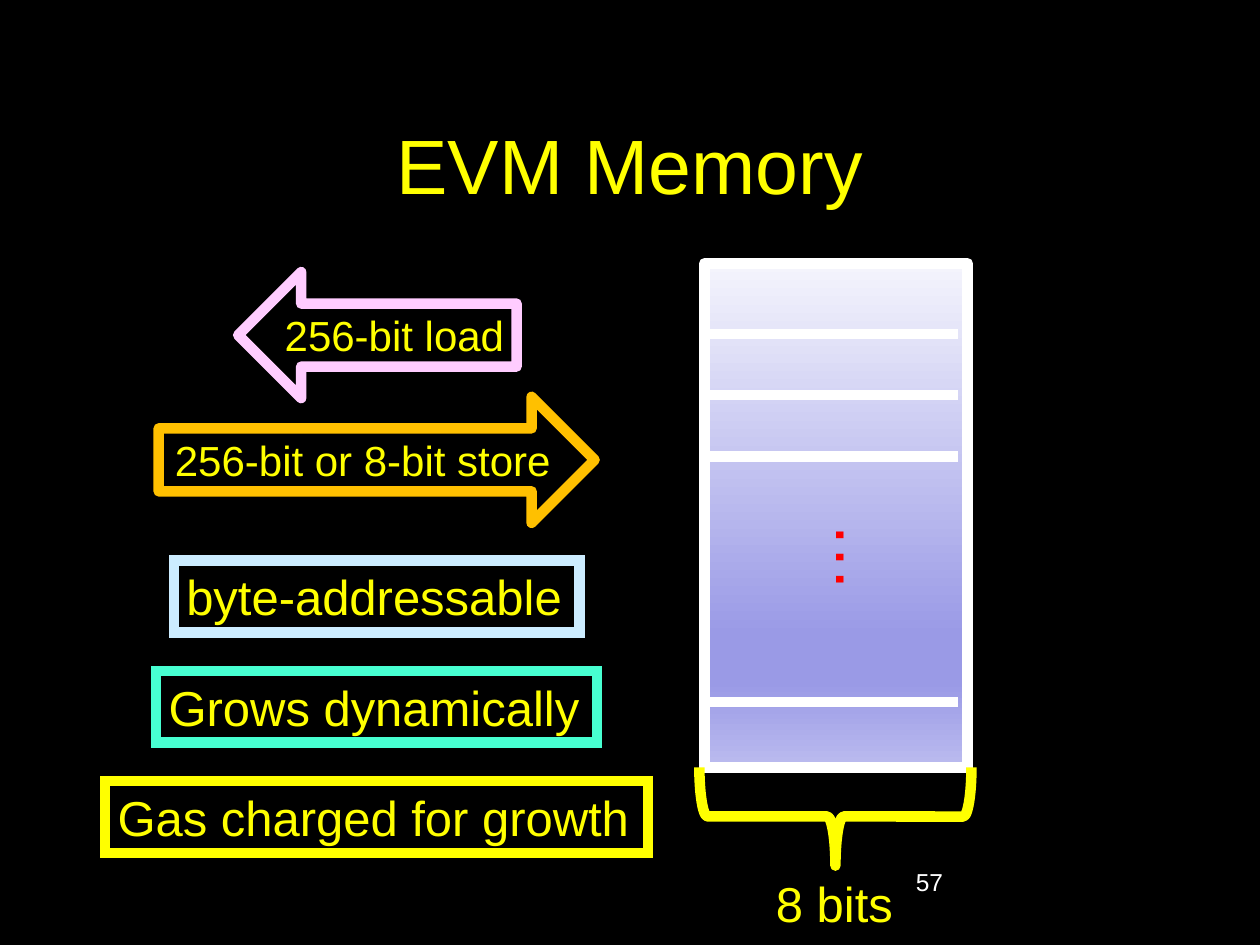
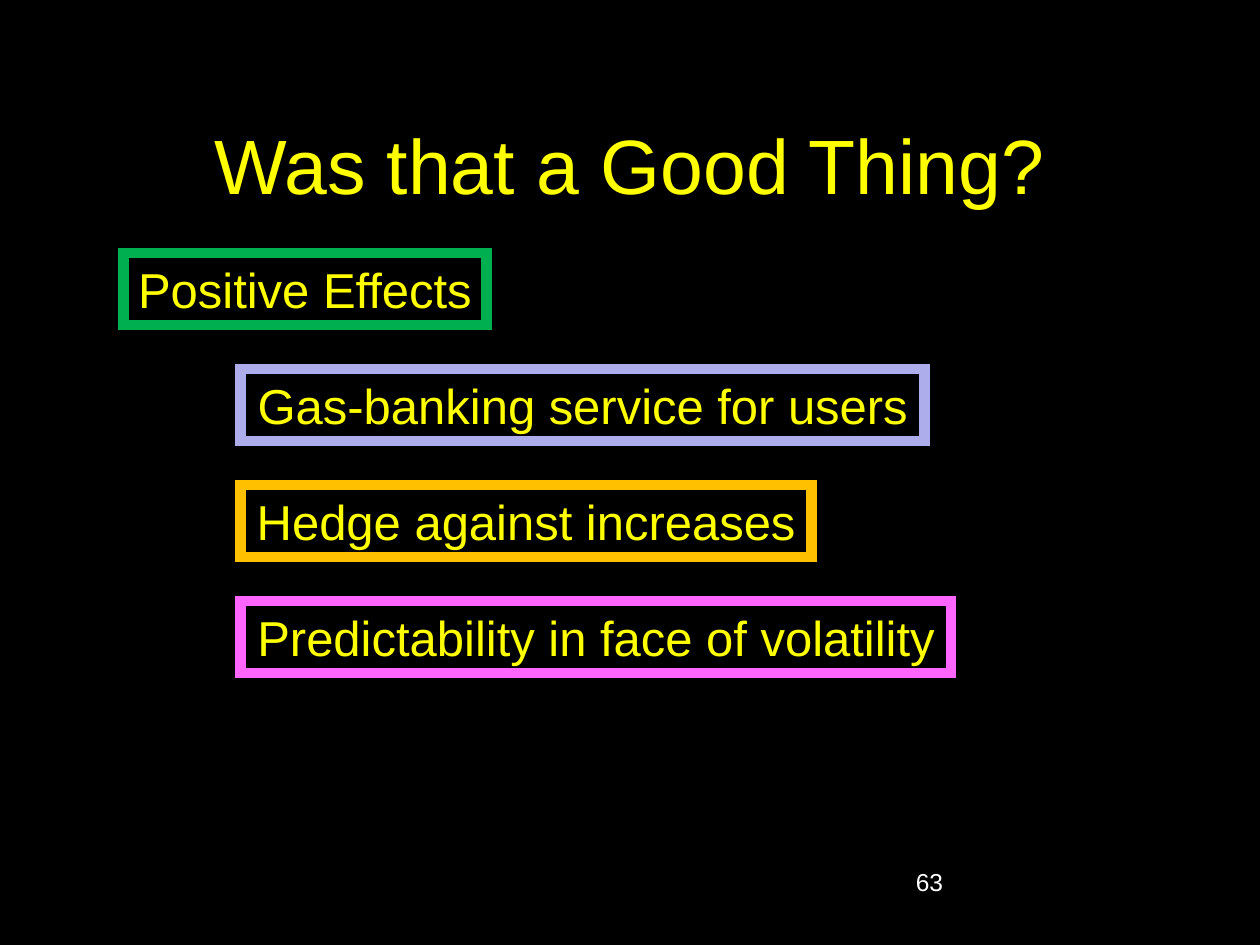
from lxml import etree
from pptx import Presentation
from pptx.dml.color import RGBColor
from pptx.enum.shapes import MSO_CONNECTOR as CONN, MSO_SHAPE as SHAPE
from pptx.enum.text import MSO_ANCHOR as ANCHOR, MSO_AUTO_SIZE as FIT, PP_ALIGN as ALIGN
from pptx.oxml.ns import qn
from pptx.util import Inches, Pt

BLACK, WHITE = RGBColor(0, 0, 0), RGBColor(255, 255, 255)
YELLOW, RED = RGBColor(255, 255, 0), RGBColor(255, 0, 0)
ORANGE, GREEN = RGBColor(0xFF, 0xC0, 0), RGBColor(0, 0xB0, 0x50)
PINK, MAGENTA = RGBColor(0xFF, 0xCC, 0xFF), RGBColor(0xFF, 0x66, 0xFF)
SKY, MINT = RGBColor(0xCC, 0xEC, 0xFF), RGBColor(0x47, 0xFF, 0xD1)
LAVENDER = RGBColor(0xAD, 0xAD, 0xEB)
MEMORY_STOPS = [(0, "F4F4FC"), (74, "9A9AE6"), (83, "9A9AE6"), (100, "BBBBEF")]

FONT = "Arial"
LINE_WIDTH = 6
BOX_HEIGHT = 0.57

MEMORY = dict(title="EVM Memory", page="57")
EFFECTS = dict(title="Was that a Good Thing?", page="63")

# text, line colour, shape, (left, top, width, height)
TRANSFERS = [
    ("256-bit load", PINK, SHAPE.LEFT_ARROW, (1.89, 2.16, 2.21, 1)),
    ("256-bit or 8-bit store", ORANGE, SHAPE.RIGHT_ARROW, (1.26, 3.15, 3.46, 1)),
]
# text, line colour, width
PROPERTIES = [
    ("byte-addressable", SKY, 3.22),
    ("Grows dynamically", MINT, 3.5),
    ("Gas charged for growth", YELLOW, 4.31),
]
# text, line colour, left, width
POSITIVES = [
    ("Positive Effects", GREEN, 0.98, 2.88),
    ("Gas-banking service for users", LAVENDER, 1.91, 4.53 + 0.99 - 0.09),
    ("Hedge against increases", ORANGE, 1.91, 4.53),
    ("Predictability in face of volatility", MAGENTA, 1.91, 5.64),
]
POSITIVES[1] = POSITIVES[1][:3] + (5.43,)

CELLS_LEFT, CELLS_TOP, CELLS_WIDTH, CELLS_HEIGHT = 5.59, 2.09, 2.09, 4
DIVIDER_TOP, DIVIDER_STEP, DIVIDER_RIGHT = 2.65, 0.487, 7.6
DIVIDER_ROWS = [0, 1, 2, 6]


def write(shape, text, size, color=YELLOW, align=ALIGN.LEFT,
          anchor=ANCHOR.TOP, wrap=False):
    tf = shape.text_frame
    frame = dict(word_wrap=wrap, vertical_anchor=anchor,
                 auto_size=FIT.NONE if wrap else FIT.SHAPE_TO_FIT_TEXT)
    for name, value in frame.items():
        setattr(tf, name, value)
    p = tf.paragraphs[0]
    p.alignment = align
    r = p.add_run()
    r.text = text
    for name, value in dict(name=FONT, size=Pt(size)).items():
        setattr(r.font, name, value)
    r.font.color.rgb = color


def add_text(s, at, text, size, **style):
    tb = s.shapes.add_textbox(*map(Inches, at))
    write(tb, text, size, **style)
    return tb


def add_outline(s, kind, at, color, fill=None):
    sp = s.shapes.add_shape(kind, *map(Inches, at))
    sp.shadow.inherit = False
    if fill is None:
        sp.fill.background()
    else:
        sp.fill.solid()
        sp.fill.fore_color.rgb = fill
    sp.line.color.rgb = color
    sp.line.width = Pt(LINE_WIDTH)
    return sp


def add_label_box(s, text, color, left, top, width, align):
    """Black box with a thick, square-cornered coloured frame."""
    sp = add_outline(s, SHAPE.RECTANGLE, (left, top, width, BOX_HEIGHT), color, BLACK)
    etree.SubElement(sp.line._get_or_add_ln(), qn("a:miter"), lim="800000")
    write(sp, text, 28, align=align)


def add_divider(s, y):
    line = s.shapes.add_connector(
        CONN.STRAIGHT, *map(Inches, (CELLS_LEFT, y, DIVIDER_RIGHT, y)))
    line.line.color.rgb = WHITE
    line.line.width = Pt(LINE_WIDTH)
    etree.SubElement(line._element.spPr, qn("a:effectLst"))


def fill_downwards(sp, stops):
    """Vertical gradient with any number of (percent, colour) stops."""
    sp.fill.gradient()
    grad = sp._element.spPr.find(qn("a:gradFill"))
    for child in list(grad):
        grad.remove(child)
    stop_list = etree.SubElement(grad, qn("a:gsLst"))
    for percent, color in stops:
        stop = etree.SubElement(stop_list, qn("a:gs"), pos=str(percent * 1000))
        etree.SubElement(stop, qn("a:srgbClr"), val=color)
    etree.SubElement(grad, qn("a:lin"), ang="5400000", scaled="0")


def add_slide(prs, title, page):
    s = prs.slides.add_slide(prs.slide_layouts[6])
    s.background.fill.solid()
    s.background.fill.fore_color.rgb = BLACK
    add_text(s, (0.75, 0.67, 8.5, 1.25), title, 44,
             align=ALIGN.CENTER, anchor=ANCHOR.MIDDLE, wrap=True)
    add_text(s, (7.17, 6.83, 2.08, 0.5), page, 14, color=WHITE, wrap=True)
    return s


def build_memory(prs):
    s = add_slide(prs, **MEMORY)
    cells = add_outline(s, SHAPE.RECTANGLE,
                        (CELLS_LEFT, CELLS_TOP, CELLS_WIDTH, CELLS_HEIGHT), WHITE)
    fill_downwards(cells, MEMORY_STOPS)
    for row in DIVIDER_ROWS:
        add_divider(s, DIVIDER_TOP + row * DIVIDER_STEP)
    dots = add_text(s, (6.48, 4.04, 0.76, 0.77), "…", 40, color=RED)
    brace = add_outline(s, SHAPE.RIGHT_BRACE, (6.24, 5.4, 0.78, 2.16), YELLOW)
    for turned in (dots, brace):
        turned.rotation = 90
    add_text(s, (6.06, 6.88, 1.14, BOX_HEIGHT), "8 bits", 28)
    for text, color, kind, at in TRANSFERS:
        arrow = add_outline(s, kind, at, color)
        write(arrow, text, 24, align=ALIGN.RIGHT, anchor=ANCHOR.MIDDLE)
    center, top, step = 2.99, 4.45, 0.875
    for i, (text, color, width) in enumerate(PROPERTIES):
        add_label_box(s, text, color, center - width / 2, top + i * step, width, ALIGN.LEFT)


def build_effects(prs):
    s = add_slide(prs, **EFFECTS)
    top, step = 2.01, 0.92
    for i, (text, color, left, width) in enumerate(POSITIVES):
        add_label_box(s, text, color, left, top + i * step, width, ALIGN.CENTER)


def main():
    prs = Presentation()
    prs.slide_width, prs.slide_height = Inches(10), Inches(7.5)
    build_memory(prs)
    build_effects(prs)
    prs.save("out.pptx")


if __name__ == "__main__":
    main()
